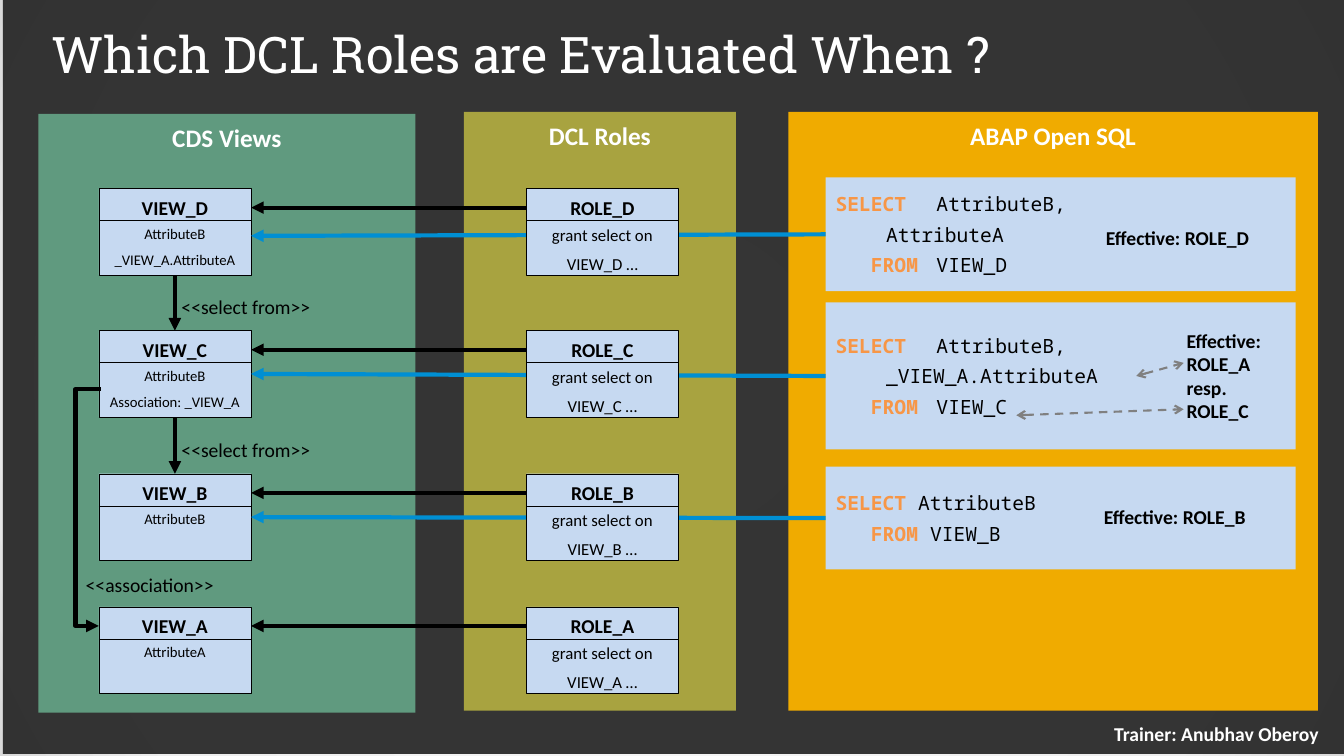
from dataclasses import dataclass

import pptx
import pptx.dml.color
import pptx.enum.dml
import pptx.enum.shapes
import pptx.enum.text
import pptx.oxml.ns
import pptx.shapes.autoshape
import pptx.shapes.connector
import pptx.text.text
import pptx.util
from lxml import etree

Inches = pptx.util.Inches
Pt = pptx.util.Pt
RGBColor = pptx.dml.color.RGBColor
Shape = pptx.shapes.autoshape.Shape
Wire = pptx.shapes.connector.Connector
Align = pptx.enum.text.PP_ALIGN
Anchor = pptx.enum.text.MSO_ANCHOR
Link = pptx.enum.shapes.MSO_CONNECTOR
qn = pptx.oxml.ns.qn

WHITE = RGBColor(0xFF, 0xFF, 0xFF)
BLACK = RGBColor(0, 0, 0)
DARK = RGBColor(0x26, 0x26, 0x26)
GOLD = RGBColor(0xF0, 0xAB, 0x00)
OLIVE = RGBColor(0xA8, 0xA3, 0x40)
GREEN = RGBColor(0x60, 0x9A, 0x7F)
PALE = RGBColor(0xC6, 0xD9, 0xF1)
BLUE = RGBColor(0x00, 0x8F, 0xD3)
ORANGE = RGBColor(0xF7, 0x96, 0x46)
GREY = RGBColor(0x80, 0x80, 0x80)

SANS, MONO, SLAB = "Calibri", "Noto Sans Mono", "Roboto Slab"
PLAIN = (0.1, 0.05)
ROOMY = (0.13, 0.07)
CODE = (0.1, 0.08)
VIEW_X, ROLE_X, CARD_W, CARD_H = 0.98, 5.22, 1.51, 0.86
SQL_X, SQL_W = 8.19, 4.66


@dataclass
class Run:
    text: str
    size: float = 14
    bold: bool = False
    color: RGBColor = BLACK
    font: str = SANS


@dataclass
class Panel:
    title: str
    left: float
    top: float
    width: float
    fill: RGBColor


@dataclass
class Row:
    key: str
    top: float
    lines: list[str]


@dataclass
class Query:
    top: float
    height: float
    lines: list[list[Run]]


@dataclass
class Note:
    text: str
    left: float
    top: float
    width: float
    height: float
    bold: bool = False
    inset: tuple[float, float] = (0, 0)


def word(text: str) -> Run:
    return Run(text, bold=True, color=ORANGE, font=MONO)


def code(text: str) -> Run:
    return Run(text, font=MONO)


PANELS = [
    Panel("ABAP Open SQL", 7.82, 1.11, 5.25, GOLD),
    Panel("DCL Roles", 4.6, 1.11, 2.7, OLIVE),
    Panel("CDS Views", 0.38, 1.13, 3.74, GREEN),
]
ROWS = [
    Row("D", 1.87, ["AttributeB", "_VIEW_A.AttributeA"]),
    Row("C", 3.28, ["AttributeB", "Association: _VIEW_A"]),
    Row("B", 4.7, ["AttributeB"]),
    Row("A", 6.02, ["AttributeA"]),
]
QUERIES = [
    Query(1.76, 1.13, [[word("SELECT\t"), code("AttributeB,")], [code("\tAttributeA")],
                       [word("   FROM"), code("\tVIEW_D")]]),
    Query(3, 1.46, [[word("SELECT"), code("\tAttributeB,")], [code("\t_VIEW_A.AttributeA")],
                    [word("   FROM"), code("\tVIEW_C")]]),
    Query(4.63, 1.02, [[word("SELECT "), code("AttributeB")],
                       [word("   FROM "), code("VIEW_B")]]),
]
NOTES = [
    Note("<<select from>>", 1.8, 2.93, 1.61, 0.24),
    Note("<<select from>>", 1.8, 4.34, 1.61, 0.24),
    Note("<<association>>", 0.85, 5.68, 1.75, 0.24),
    Note("Effective: ROLE_D", 10.87, 2.19, 1.99, 0.34, True, PLAIN),
    Note("Effective: ROLE_A resp. ROLE_C", 11.67, 3.21, 1.1, 1.04, True, PLAIN),
    Note("Effective: ROLE_B", 10.85, 4.96, 1.93, 0.34, True, PLAIN),
]

deck = pptx.Presentation()
deck.slide_width, deck.slide_height = Inches(13.33), Inches(7.5)
slide = deck.slides.add_slide(deck.slide_layouts[6])


def write(shape: Shape, lines: list[list[Run]], inset: tuple[float, float],
          align: Align = Align.LEFT, anchor: Anchor = Anchor.TOP, gap: float = 0) -> None:
    frame = shape.text_frame
    frame.word_wrap = True
    frame.vertical_anchor = anchor
    frame.margin_left = frame.margin_right = Inches(inset[0])
    frame.margin_top = frame.margin_bottom = Inches(inset[1])
    for i, runs in enumerate(lines):
        para = frame.add_paragraph() if i else frame.paragraphs[0]
        para.alignment = align
        para.space_before = Pt(gap if i else 0)
        for item in runs:
            run = para.add_run()
            run.text = item.text
            run.font.name, run.font.size = item.font, Pt(item.size)
            run.font.bold = item.bold
            run.font.color.rgb = item.color


def text(left: float, top: float, width: float, height: float) -> Shape:
    return slide.shapes.add_textbox(Inches(left), Inches(top), Inches(width), Inches(height))


def rect(left: float, top: float, width: float, height: float, fill: RGBColor,
         edge: float = 0) -> Shape:
    shape = slide.shapes.add_shape(pptx.enum.shapes.MSO_SHAPE.RECTANGLE, Inches(left),
                                   Inches(top), Inches(width), Inches(height))
    shape.shadow.inherit = False
    shape.fill.solid()
    shape.fill.fore_color.rgb = fill
    if edge:
        shape.line.color.rgb, shape.line.width = BLACK, Pt(edge)
    else:
        shape.line.fill.background()
    return shape


def wire(x1: float, y1: float, x2: float, y2: float, color: RGBColor = BLACK,
         width: float = 3, head: str = "", tail: str = "triangle", dash: bool = False,
         kind: Link = Link.STRAIGHT) -> Wire:
    line = slide.shapes.add_connector(kind, Inches(x1), Inches(y1), Inches(x2), Inches(y2))
    line.line.color.rgb, line.line.width = color, Pt(width)
    if dash:
        line.line.dash_style = pptx.enum.dml.MSO_LINE.DASH
    props = line.element.find(qn("p:spPr"))
    for tag, end in (("a:headEnd", head), ("a:tailEnd", tail)):
        if end:
            etree.SubElement(props.find(qn("a:ln")), qn(tag), type=end)
    etree.SubElement(props, qn("a:effectLst"))
    return line


def card(left: float, top: float, title: str, lines: list[str], size: float) -> Shape:
    box = rect(left, top, CARD_W, CARD_H, PALE, 0.25)
    wire(left, top + 0.32, left + CARD_W, top + 0.32, width=0.5, tail="")
    write(text(left, top + 0.07, CARD_W, 0.24), [[Run(title, bold=True)]], (0, 0), Align.CENTER)
    write(text(left, top + 0.36, CARD_W, 0.49), [[Run(line, size)] for line in lines],
          (0, 0), Align.CENTER, gap=6)
    return box


# Backdrop: round gradient under a dark, slightly clear sheet
slide.background.fill.gradient()
grad = slide.element.find(".//" + qn("a:gradFill"))
for child in list(grad):
    grad.remove(child)
stops = etree.SubElement(grad, qn("a:gsLst"))
for place, tone in ((0, "FFFFFF"), (81, "EEEEEE"), (100, "D9D9D9")):
    stop = etree.SubElement(stops, qn("a:gs"), pos=str(place * 1000))
    etree.SubElement(stop, qn("a:srgbClr"), val=tone)
ring = etree.SubElement(grad, qn("a:path"), path="circle")
etree.SubElement(ring, qn("a:fillToRect"), dict.fromkeys("ltrb", "50000"))
sheet = rect(0.03, -0.02, 13.33, 7.5, DARK)
etree.SubElement(sheet.element.find(".//" + qn("a:srgbClr")), qn("a:alpha"), val="93000")

# Title and trainer
write(text(0.38, 0.14, 12, 0.78),
      [[Run("Which DCL Roles are Evaluated When ?", 36, color=WHITE, font=SLAB)]],
      ROOMY, anchor=Anchor.MIDDLE)
write(text(10.84, 7.08, 2.45, 0.39), [[Run("Trainer: Anubhav Oberoy", bold=True, color=WHITE)]],
      ROOMY, Align.CENTER, Anchor.MIDDLE)

# Panels
for panel in PANELS:
    write(rect(panel.left, panel.top, panel.width, 5.94, panel.fill),
          [[Run(panel.title, 18, True, WHITE)]], CODE, Align.CENTER)

# Views and queries, then the blue lines that pass behind the roles
views = [card(VIEW_X, row.top, f"VIEW_{row.key}", row.lines, 10.5) for row in ROWS]
for query, view, goal in zip(QUERIES, views, (2.34, 3.71, 5.13)):
    box = rect(SQL_X, query.top, SQL_W, query.height, PALE)
    write(box, query.lines, CODE, anchor=Anchor.MIDDLE, gap=5)
    blue = wire(SQL_X, query.top + query.height / 2, VIEW_X + CARD_W, goal, BLUE)
    blue.begin_connect(box, 1)
    if view is not views[0]:
        blue.end_connect(view, 3)

# Roles and their arrows
for row in ROWS:
    card(ROLE_X, row.top, f"ROLE_{row.key}", ["grant select on", f"VIEW_{row.key} …"], 12)
    wire(ROLE_X, row.top + 0.19, VIEW_X + CARD_W, row.top + 0.19)

# Links between views
for upper, lower in zip(views[:2], views[1:3]):
    down = wire(0, 0, 1, 1)
    down.begin_connect(upper, 2)
    down.end_connect(lower, 0)
bent = wire(1, 3.86, VIEW_X, 6.21, kind=Link.ELBOW)
guides = bent.element.find(".//" + qn("a:avLst"))
etree.SubElement(guides, qn("a:gd"), name="adj1", fmla="val 1250000")

# Notes and dashed pointers
for note in NOTES:
    write(text(note.left, note.top, note.width, note.height),
          [[Run(note.text, bold=note.bold)]], note.inset)
for ends in ((10.08, 4.12, 11.74, 4.06), (11.27, 3.73, 11.74, 3.6)):
    wire(*ends, GREY, 1.5, "arrow", "arrow", True)

deck.save("out.pptx")
